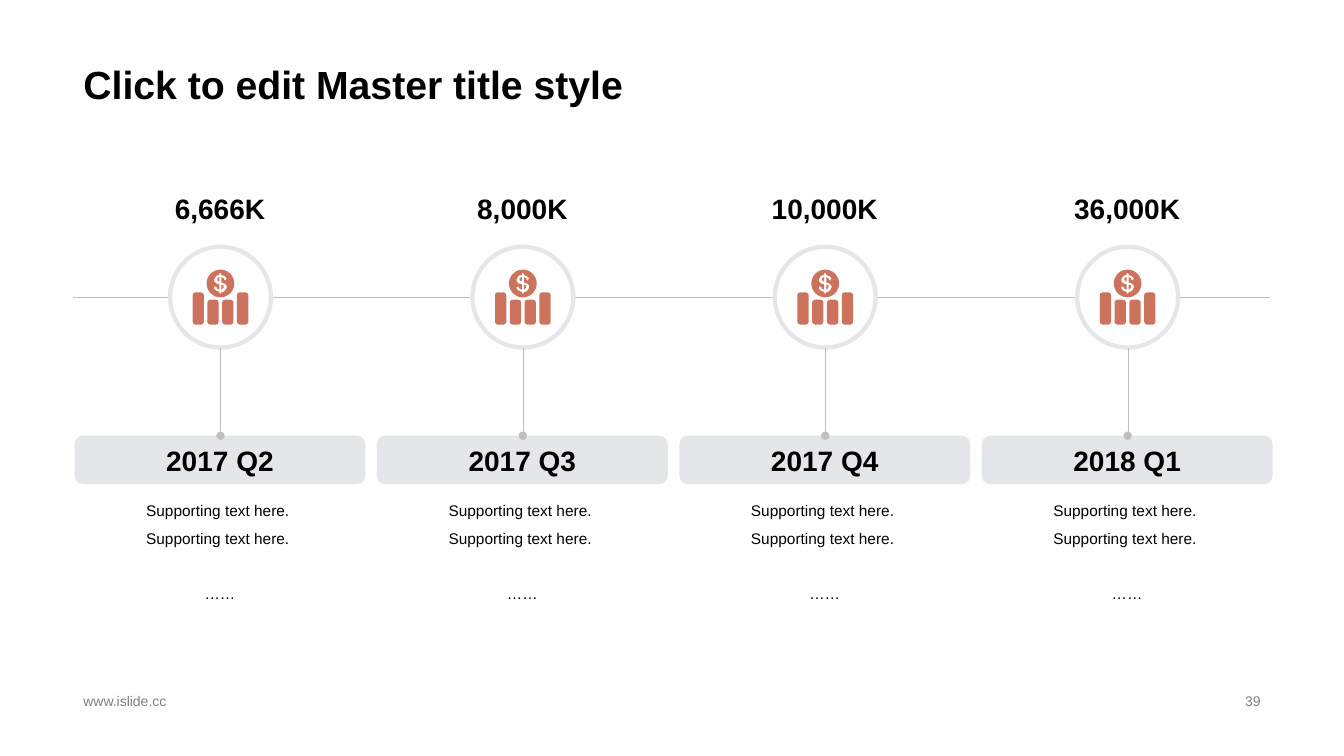
from math import cos, radians, sin

from pptx import Presentation
from pptx import util as u
from pptx.dml import color
from pptx.enum import shapes, text
from pptx.oxml import ns, xmlchemy as xc

PX = 9525
FINE = 10
INK, GREY, PALE, RUST, WHITE, DIM = "000000", "BFBFBF", "E4E6EA", "CC735E", "FFFFFF", "808080"
KIND = shapes.MSO_SHAPE
MID, TOP, LOW = text.MSO_ANCHOR.MIDDLE, text.MSO_ANCHOR.TOP, text.MSO_ANCHOR.BOTTOM
LEFT, CENTER, RIGHT = text.PP_ALIGN.LEFT, text.PP_ALIGN.CENTER, text.PP_ALIGN.RIGHT

STEPS = [("6,666K", "2017 Q2"), ("8,000K", "2017 Q3"), ("10,000K", "2017 Q4"), ("36,000K", "2018 Q1")]
NOTES = ["Supporting text here. ", "Supporting text here. ", "……"]
DOLLAR = [
    [(-1, -10), (0, -10), (1, -9), (1, -8), (4, -7), (6, -5), (5, -3), (4, -3), (3, -5), (1, -6),
     (1, -1), (4, 0), (6, 2), (6, 4), (5, 6), (3, 8), (1, 8), (1, 9), (0, 10), (-1, 9), (-1, 8),
     (-4, 7), (-6, 5), (-6, 3), (-4, 3), (-3, 5), (-1, 6), (-1, 1), (-4, 0), (-6, -2),
     (-6, -4), (-5, -6), (-3, -8), (-1, -8)],
    [(1, 1), (3, 2), (3, 4), (1, 6)],
    [(-1, -6), (-3, -5), (-3, -3), (-1, -2)],
]


def px(*sizes):
    return [u.Emu(size * PX) for size in sizes]


def rgb(code):
    return color.RGBColor.from_string(code)


def apply(item, form):
    for key, value in form.items():
        setattr(item, key, value)


def paint(shape, fill, edge=None, width=0):
    shape.shadow.inherit = False
    shape.fill.solid()
    shape.fill.fore_color.rgb = rgb(fill)
    if edge:
        shape.line.color.rgb = rgb(edge)
        shape.line.width = u.Pt(width)
    else:
        shape.line.fill.background()
    return shape


def add(slide, kind, box, *look):
    return paint(slide.shapes.add_shape(kind, *px(*box)), *look)


def write(shape, lines, size, bold=False, ink=INK, align=CENTER, anchor=MID, wrap=False, space=1.0):
    frame = shape.text_frame
    apply(frame, {"word_wrap": wrap, "vertical_anchor": anchor})
    for i, line in enumerate(lines):
        para = frame.paragraphs[0] if i == 0 else frame.add_paragraph()
        para.text = line
        apply(para, {"alignment": align, "line_spacing": space})
        apply(para.font, {"name": "Arial", "size": u.Pt(size), "bold": bold})
        para.font.color.rgb = rgb(ink)
    return frame


def label(slide, box, lines, size, **form):
    return write(slide.shapes.add_textbox(*px(*box)), lines, size, **form)


def rule(slide, ends, dot=False):
    line = slide.shapes.add_connector(shapes.MSO_CONNECTOR.STRAIGHT, *px(*ends))
    line.line.color.rgb = rgb(GREY)
    line.line.width = u.Pt(0.25)
    if dot:
        tail = xc.OxmlElement("a:tailEnd")
        tail.set("type", "oval")
        line.line._get_or_add_ln().append(tail)
    line._element.find(ns.qn("p:spPr")).append(xc.OxmlElement("a:effectLst"))


def arc(x, y, size, start, sweep, step):
    turns = [radians(a) for a in range(start, start + sweep + 1, step)]
    return [(x + size * cos(a), y + size * sin(a)) for a in turns]


def bar(x, top, w, base, bend):
    right, left, high, low = x + w - bend, x + bend, top + bend, base - bend
    spots = [(right, low), (left, low), (left, high), (right, high)]
    return [spot for i, (a, b) in enumerate(spots) for spot in arc(a, b, bend, 90 * i, 90, 30)]


def icon(slide, x, y):
    x, y = x * FINE, y * FINE
    coin = y - 130
    rings = [bar(x - 265 + 141 * i, y + top, 107, y + 262, 27) for i, top in enumerate([-45, 25, 25, -45])]
    rings.append(arc(x, coin, 132, 0, 350, 10))
    rings += [[(x + dx * FINE, coin + dy * FINE) for dx, dy in ring] for ring in DOLLAR]
    pen = slide.shapes.build_freeform(*rings[0][0], scale=PX / FINE)
    for i, ring in enumerate(rings):
        if i:
            pen.move_to(*ring[0])
        pen.add_line_segments(ring[1:])
    paint(pen.convert_to_shape(), RUST)


def step(slide, box, value, date):
    x, y, w, h = box
    mid, hub, base = x + (w + 1) // 2, y + 114, y + 246
    add(slide, KIND.OVAL, (mid - 48, hub - 48, 96, 96), WHITE, PALE, 3)
    icon(slide, mid, hub)
    label(slide, (x, y - 1, w, 60), [value], 20, bold=True)
    tag = add(slide, KIND.ROUNDED_RECTANGLE, (x, base, w, 46), PALE)
    write(tag, [date], 20, bold=True)
    notes = label(slide, (x, base + 49, w, h - 295), NOTES, 11, anchor=TOP, wrap=True, space=1.5)
    notes.paragraphs[-1].space_before = u.Pt(19.5)
    rule(slide, (mid, hub + 48, mid, base), dot=True)


def chain(slide, box):
    x, y, w, h = box
    rule(slide, (x, y + 114, x + w, y + 114))
    for i, (value, date) in enumerate(STEPS):
        step(slide, (x + 1 + 288 * i, y, 277, h), value, date)


def header(slide, box):
    label(slide, box, ["Click to edit Master title style"], 28, bold=True,
          align=LEFT, anchor=LOW, wrap=True, space=0.9)


def footer(slide, box):
    x, y, w, h = box
    label(slide, (x, y, 435, h), ["www.islide.cc"], 10, ink=DIM, align=LEFT, wrap=True)
    label(slide, (x + w - 306, y, 306, h), ["39"], 10, ink=DIM, align=RIGHT, wrap=True)


def main():
    deck = Presentation()
    deck.slide_width, deck.slide_height = px(1280, 720)
    slide = deck.slides.add_slide(deck.slide_layouts[6])
    header(slide, (70, 0, 1140, 108))
    footer(slide, (70, 657, 1140, 22))
    chain(slide, (70, 169, 1140, 426))
    deck.save("out.pptx")


if __name__ == "__main__":
    main()
